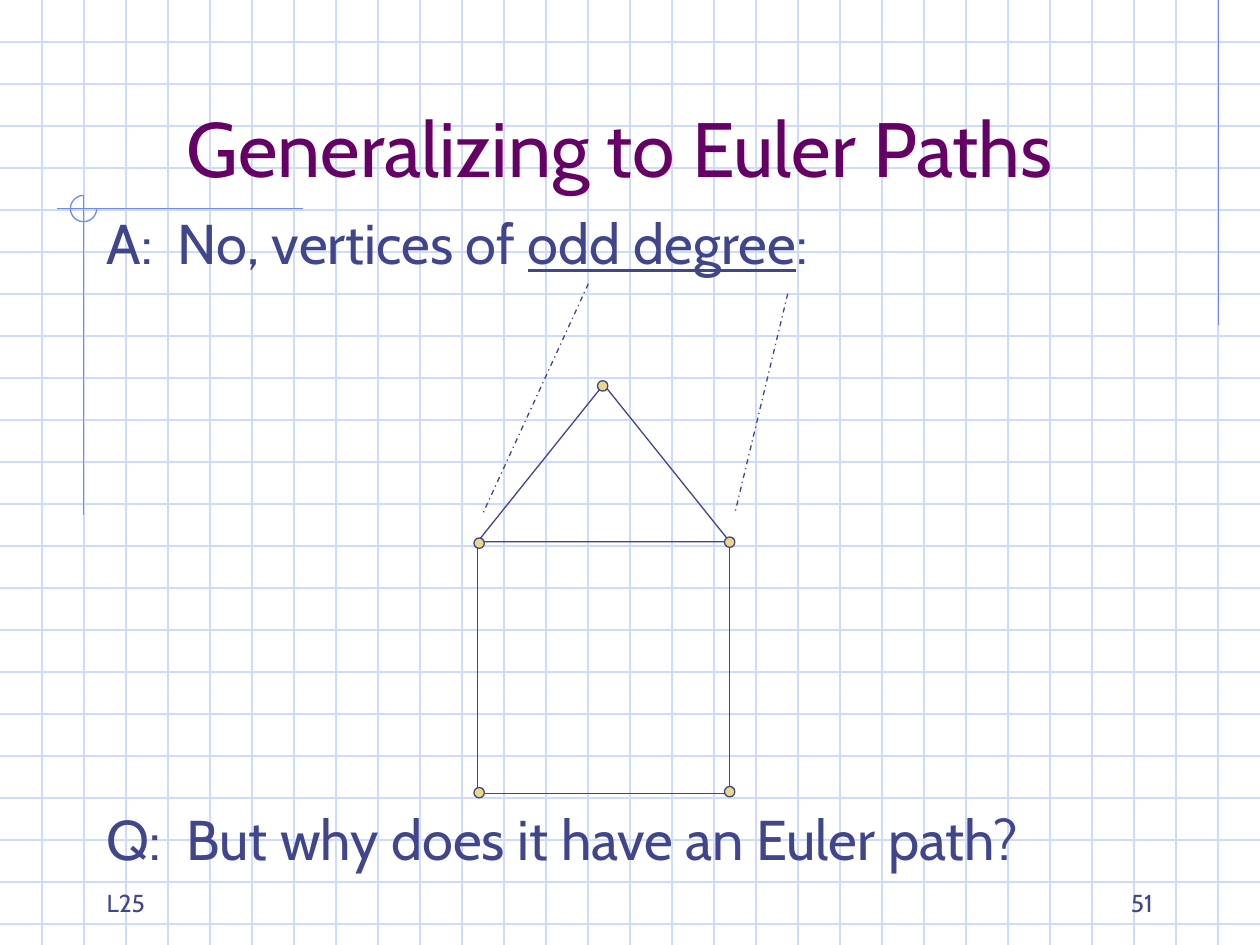
from dataclasses import dataclass

from lxml.etree import SubElement
from pptx import Presentation
from pptx.dml.color import RGBColor
from pptx.enum.dml import MSO_LINE
from pptx.enum.shapes import MSO_CONNECTOR, MSO_SHAPE as Preset
from pptx.enum.text import MSO_ANCHOR as Anchor, PP_ALIGN as Align
from pptx.oxml.ns import qn
from pptx.util import Cm, Pt


@dataclass(frozen=True)
class Theme:
    font: str = "Cabin"
    title_color: str = "660066"
    ink: str = "40458C"
    grid: str = "CFDBFD"
    accent: str = "6F89F7"
    vertex: str = "ECD882"
    title_size: int = 44
    body_size: int = 32
    footer_size: int = 14
    line_width: float = 0.75


class SlideBuilder:
    def __init__(self, slide, theme):
        self.slide = slide
        self.theme = theme

    def style_line(self, line, color):
        line.color.rgb = RGBColor.from_string(color)
        line.width = Pt(self.theme.line_width)

    def line(self, x1, y1, x2, y2, color, dash=None):
        connector = self.slide.shapes.add_connector(
            MSO_CONNECTOR.STRAIGHT, Cm(x1), Cm(y1), Cm(x2), Cm(y2))
        self.style_line(connector.line, color)
        if dash is not None:
            connector.line.dash_style = dash
        SubElement(connector._element.spPr, qn("a:effectLst"))

    def shape(self, preset, left, top, width, height, color, fill=None):
        shape = self.slide.shapes.add_shape(
            preset, Cm(left), Cm(top), Cm(width), Cm(height))
        shape.shadow.inherit = False
        if fill is None:
            shape.fill.background()
        else:
            shape.fill.solid()
            shape.fill.fore_color.rgb = RGBColor.from_string(fill)
        self.style_line(shape.line, color)
        return shape

    def vertex(self, x, y, diameter=0.21):
        self.shape(Preset.OVAL, x - diameter / 2, y - diameter / 2,
                   diameter, diameter, self.theme.ink, self.theme.vertex)

    def text(self, box, paragraphs, size, color,
             align=Align.LEFT, anchor=Anchor.BOTTOM):
        """Each paragraph is a list of runs; returns the paragraphs."""
        frame = self.slide.shapes.add_textbox(*map(Cm, box)).text_frame
        frame.word_wrap = True
        frame.vertical_anchor = anchor
        for index, pieces in enumerate(paragraphs):
            paragraph = frame.add_paragraph() if index else frame.paragraphs[0]
            paragraph.alignment = align
            for piece in pieces:
                run = paragraph.add_run()
                run.text = piece
                run.font.name = self.theme.font
                run.font.size = Pt(size)
                run.font.color.rgb = RGBColor.from_string(color)
        return frame.paragraphs


def main():
    width, height = 25.4, 19.05
    theme = Theme()
    presentation = Presentation()
    presentation.slide_width, presentation.slide_height = Cm(width), Cm(height)
    slide = presentation.slides.add_slide(presentation.slide_layouts[6])
    builder = SlideBuilder(slide, theme)

    # Graph paper
    step = width / 30
    for row in range(1, 23):
        builder.line(0, row * step, width, row * step, theme.grid)
    for column in range(1, 30):
        builder.line(column * step, 0, column * step, height, theme.grid)

    # Accent lines and three-quarter circle
    builder.line(24.56, 0, 24.56, 6.55, theme.accent)
    builder.line(6.1, 4.2, 1.14, 4.2, theme.accent)
    builder.line(1.69, 3.94, 1.69, 10.39, theme.accent)
    arc = builder.shape(Preset.ARC, 1.42, 3.94, 0.53, 0.53, theme.accent)
    arc.adjustments[0] = 0
    arc.adjustments[1] = 162  # 270 degrees

    # Title and body
    builder.text((1.7, 0.84, 21.59, 3.18), [["Generalizing to Euler Paths"]],
                 theme.title_size, theme.title_color, Align.CENTER)
    answer, question = builder.text(
        (1.9, 4.24, 21.59, 13.77),
        [["A:  No, vertices of ", "odd degree", ":"],
         ["Q:  But why does it have an Euler path?"]],
        theme.body_size, theme.ink, anchor=Anchor.TOP)
    answer.line_spacing = question.line_spacing = 0.9
    answer.runs[1].font.underline = True
    question.space_before = Pt(305.6)

    # House graph
    left, top, side, roof = 9.63, 10.92, 5.08, 3.17
    builder.shape(Preset.RECTANGLE, left, top, side, side, theme.ink)
    builder.shape(Preset.ISOSCELES_TRIANGLE, left, top - roof, side, roof,
                  theme.ink)
    for x, y in [(12.15, 7.78), (14.71, 10.93), (9.66, 10.95),
                 (14.71, 15.96), (9.66, 15.98)]:
        builder.vertex(x, y)

    # Pointers to the odd vertices
    for ends in [(11.86, 5.72, 9.73, 10.36), (15.88, 5.92, 14.81, 10.36)]:
        builder.line(*ends, theme.ink, MSO_LINE.DASH_DOT)

    # Footer
    for x, label, align in [(18.21, "51", Align.RIGHT), (1.9, "L25", Align.LEFT)]:
        builder.text((x, 17.35, 5.28, 1.27), [[label]],
                     theme.footer_size, theme.ink, align)

    presentation.save("out.pptx")


if __name__ == "__main__":
    main()
